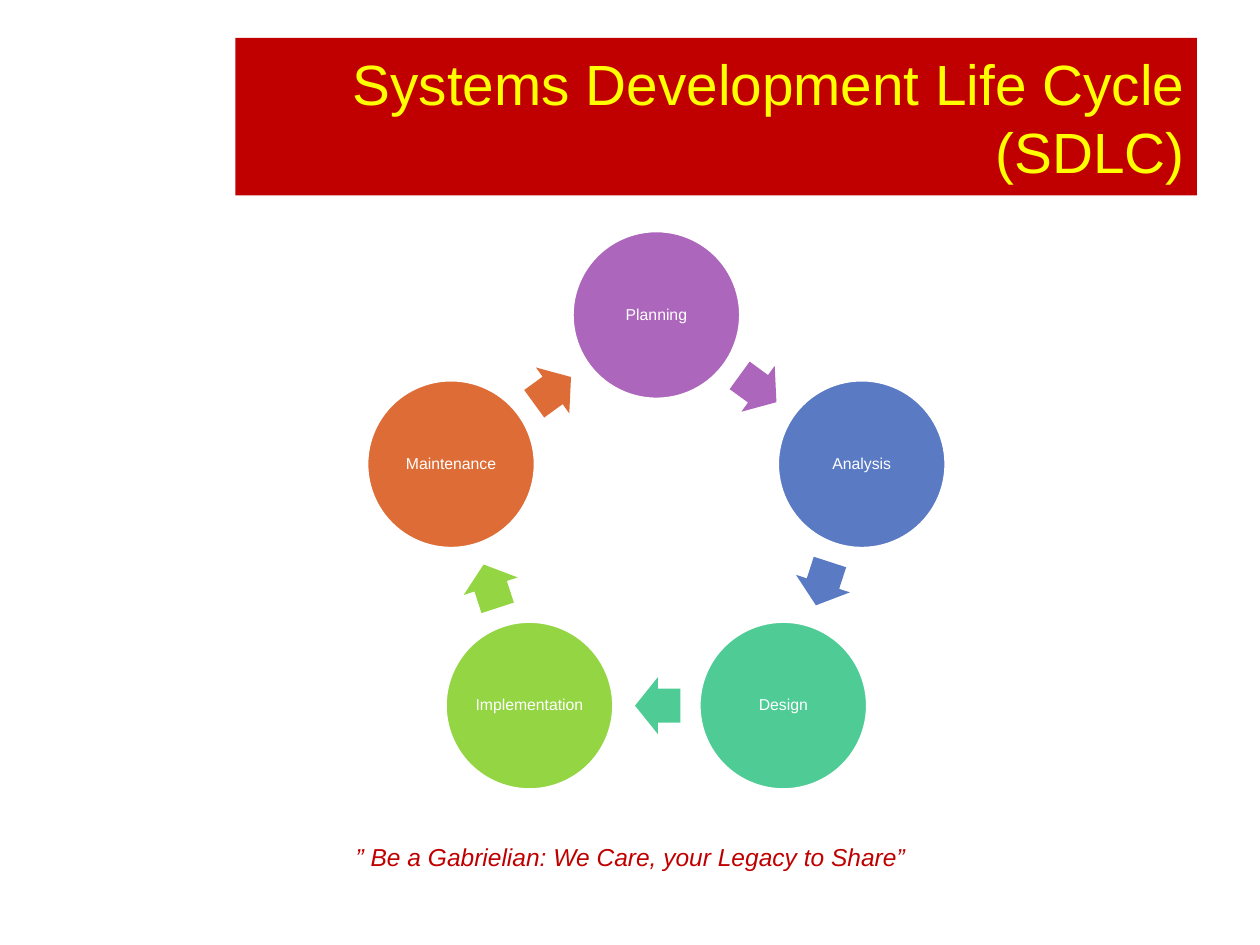
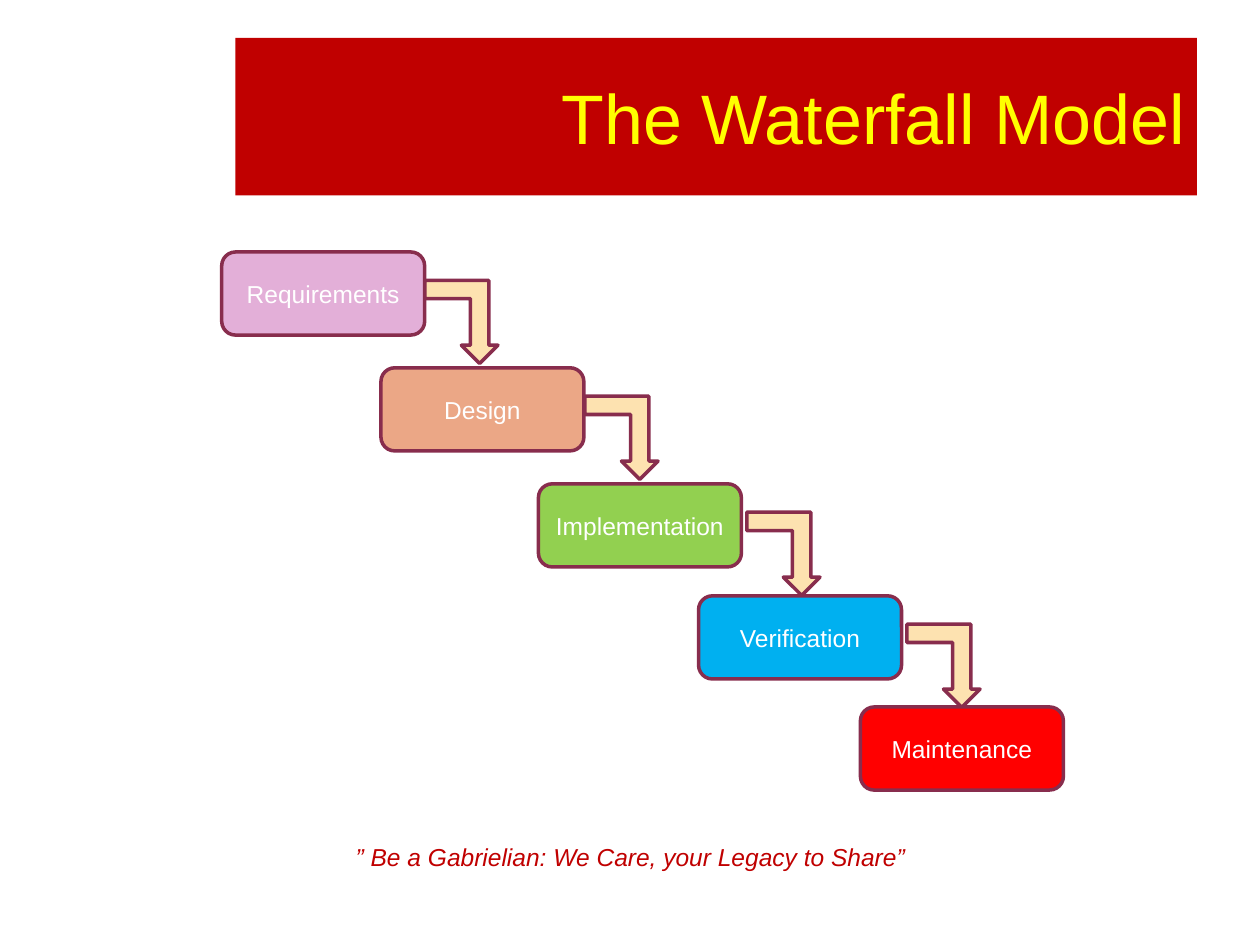
import math
from dataclasses import dataclass

import pptx
import pptx.dml.color
import pptx.enum.shapes
import pptx.enum.text
import pptx.util

Pt = pptx.util.Pt
SHAPE = pptx.enum.shapes.MSO_SHAPE
ALIGN = pptx.enum.text.PP_ALIGN
ANCHOR = pptx.enum.text.MSO_ANCHOR


@dataclass(frozen=True)
class Theme:
    font: str = "Arial"
    band: str = "C00000"
    title: str = "FFFF00"
    white: str = "FFFFFF"
    motto: str = "C00000"
    outline: str = "882D4D"
    step_arrow: str = "FDE2B0"
    title_size: float = 40
    long_title_size: float = 32.4
    body_size: float = 14
    phase_size: float = 9
    line_width: float = 2


THEME = Theme()
TITLE_BOX = (134.5, 21.6, 549.5, 90)
MOTTO_BOX = (39.6, 477.4, 641.5, 24.5)
CYCLE_BOX = (209.5, 131.75, 331.2, 319.7)
WATERFALL_BOX = (126.7, 144, 481, 307.5)

PHASES = [
    ("Planning", "AC66BB"),
    ("Analysis", "5A7AC3"),
    ("Design", "4FCC96"),
    ("Implementation", "93D542"),
    ("Maintenance", "DE6C36"),
]
# label, fill, left and top inside the box, gap before the outgoing arrow
STAGES = [
    ("Requirements", "E3AFD8", 0, 0, 0),
    ("Design", "EBA786", 91, 66.2, 0.5),
    ("Implementation", "92D050", 181, 132.5, 3),
    ("Verification", "00B0F0", 272.5, 196.5, 3),
    ("Maintenance", "FF0000", 365, 260, None),
]


def rgb(value):
    return pptx.dml.color.RGBColor.from_string(value)


def put_text(sp, text, *, size, color, align=ALIGN.CENTER, anchor=ANCHOR.MIDDLE,
             italic=False, spacing=None, inset=(7.2, 3.6)):
    tf = sp.text_frame
    tf.word_wrap = True
    tf.vertical_anchor = anchor
    tf.margin_left = tf.margin_right = Pt(inset[0])
    tf.margin_top = tf.margin_bottom = Pt(inset[1])
    p = tf.paragraphs[0]
    p.alignment = align
    if spacing:
        p.line_spacing = spacing
    r = p.add_run()
    r.text = text
    r.font.name = THEME.font
    r.font.size = Pt(size)
    r.font.italic = italic
    r.font.color.rgb = rgb(color)


def add_shape(slide, kind, box, fill, line=None):
    sp = slide.shapes.add_shape(kind, *map(Pt, box))
    sp.shadow.inherit = False
    sp.fill.solid()
    sp.fill.fore_color.rgb = rgb(fill)
    if line:
        sp.line.color.rgb = rgb(line)
        sp.line.width = Pt(THEME.line_width)
    else:
        sp.line.fill.background()
    return sp


def add_framed_slide(prs, title, title_size):
    """Add a slide with the motto and the title band every slide carries."""
    slide = prs.slides.add_slide(prs.slide_layouts[6])
    motto = slide.shapes.add_textbox(*map(Pt, MOTTO_BOX))
    put_text(motto, "” Be a Gabrielian: We Care, your Legacy to Share”",
             size=THEME.body_size, color=THEME.motto, italic=True, anchor=ANCHOR.TOP)
    band = add_shape(slide, SHAPE.RECTANGLE, TITLE_BOX, THEME.band)
    put_text(band, title, size=title_size, color=THEME.title, align=ALIGN.RIGHT)
    return slide


def add_cycle(slide, box, phases):
    """Place the phases clockwise on a ring, with an arrow after each one."""
    left, top, width, _ = box
    diameter, arrow_w, arrow_h, arrow_lag = 96.5, 26, 32.4, 0.75
    step = math.tau / len(phases)
    radius = (width - diameter) / 2 / math.sin(step)
    mid_radius = radius * math.cos(step / 2)
    cx, cy = left + width / 2, top + diameter / 2 + radius

    for i, (label, color) in enumerate(phases):
        angle = i * step
        x, y = cx + radius * math.sin(angle), cy - radius * math.cos(angle)
        circle = add_shape(slide, SHAPE.OVAL,
                           (x - diameter / 2, y - diameter / 2, diameter, diameter),
                           color, THEME.white)
        put_text(circle, label, size=THEME.phase_size, color=THEME.white,
                 spacing=0.9, inset=(0.7, 0.7))

        angle += step / 2
        x = cx + mid_radius * math.sin(angle) - arrow_lag * math.cos(angle)
        y = cy - mid_radius * math.cos(angle) - arrow_lag * math.sin(angle)
        arrow = add_shape(slide, SHAPE.RIGHT_ARROW,
                          (x - arrow_w / 2, y - arrow_h / 2, arrow_w, arrow_h), color)
        arrow.adjustments[0], arrow.adjustments[1] = 0.6, 0.5
        arrow.rotation = math.degrees(angle)


def add_waterfall(slide, box, stages):
    """Place the stages as a staircase, with a bent arrow down from each one."""
    left, top = box[:2]
    stage_w, stage_h = 116, 47.5
    arrow_w, arrow_h, arrow_drop = 41.8, 47.5, 16.2

    for label, color, dx, dy, gap in stages:
        x, y = left + dx, top + dy
        stage = add_shape(slide, SHAPE.ROUNDED_RECTANGLE, (x, y, stage_w, stage_h),
                          color, THEME.outline)
        put_text(stage, label, size=THEME.body_size, color=THEME.white)
        if gap is not None:
            arrow = add_shape(slide, SHAPE.BENT_UP_ARROW,
                              (x + stage_w + gap, y + arrow_drop, arrow_w, arrow_h),
                              THEME.step_arrow, THEME.outline)
            arrow.rotation = 180
            arrow.element.spPr.xfrm.set("flipH", "1")


def main():
    prs = pptx.Presentation()
    prs.slide_width, prs.slide_height = Pt(720), Pt(540)
    slide = add_framed_slide(prs, "Systems Development Life Cycle (SDLC)",
                             THEME.long_title_size)
    add_cycle(slide, CYCLE_BOX, PHASES)
    slide = add_framed_slide(prs, "The Waterfall Model", THEME.title_size)
    add_waterfall(slide, WATERFALL_BOX, STAGES)
    prs.save("out.pptx")


if __name__ == "__main__":
    main()
